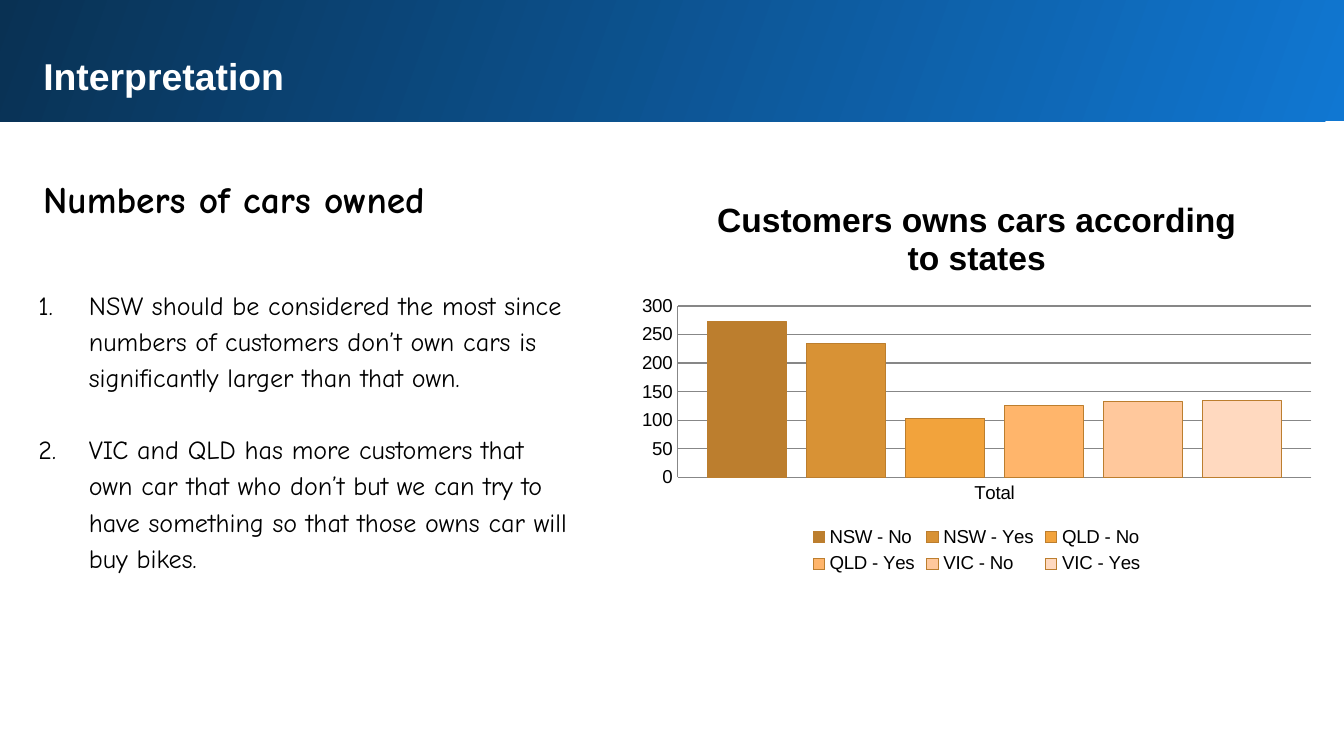
import pptx
import pptx.chart.data
import pptx.dml.color
import pptx.enum.chart
import pptx.enum.shapes
import pptx.enum.text
import pptx.oxml
import pptx.oxml.ns
import pptx.util

Pt = pptx.util.Pt
HEADING_FONT = "Arial"
BODY_FONT = "Comic Neue"
FINDINGS = [
    "NSW should be considered the most since numbers of customers don’t own cars is "
    "significantly larger than that own.",
    "VIC and QLD has more customers that own car that who don’t but we can try to have "
    "something so that those owns car will buy bikes.",
]
CAR_OWNERS = [
    ("NSW - No", 272, "BC7E2E"),
    ("NSW - Yes", 234, "D89235"),
    ("QLD - No", 103, "F2A33C"),
    ("QLD - Yes", 125, "FFB56B"),
    ("VIC - No", 132, "FFC89C"),
    ("VIC - Yes", 134, "FFD9BF"),
]


def color(hex_code):
    """Return the colour for a hex string."""
    return pptx.dml.color.RGBColor.from_string(hex_code)


def style_font(font, name, size, hex_code, bold=False):
    """Set face, size, colour and weight of a font."""
    font.name = name
    font.size = Pt(size)
    font.bold = bold
    font.color.rgb = color(hex_code)


def format_frame(frame):
    """Give a text frame even margins, wrapping and top anchoring."""
    frame.word_wrap = True
    frame.auto_size = pptx.enum.text.MSO_AUTO_SIZE.NONE
    frame.vertical_anchor = pptx.enum.text.MSO_ANCHOR.TOP
    frame.margin_left = frame.margin_right = Pt(7.2)
    frame.margin_top = frame.margin_bottom = Pt(7.2)


def add_banner(page):
    """Add the gradient band behind the title."""
    banner = page.shapes.add_shape(
        pptx.enum.shapes.MSO_SHAPE.RECTANGLE, Pt(-1.5), Pt(-1.5), Pt(723.5), Pt(66.5))
    banner.shadow.inherit = False
    banner.line.fill.background()
    banner.fill.gradient()
    banner.fill.gradient_angle = 160
    for stop, hex_code in zip(banner.fill.gradient_stops, ("1077D2", "093153")):
        stop.color.rgb = color(hex_code)
    page.shapes._spTree.insert(2, banner._element)


def set_title(page, text):
    """Place and format the slide title."""
    title = page.shapes.title
    title.left, title.top, title.width, title.height = Pt(16), Pt(21), Pt(675), Pt(60)
    frame = title.text_frame
    frame.text = text
    format_frame(frame)
    para = frame.paragraphs[0]
    para.alignment = pptx.enum.text.PP_ALIGN.LEFT
    style_font(para.runs[0].font, HEADING_FONT, 20, "FFFFFF", True)


def add_text(page, left, top, width, height, lines, size, bold=False):
    """Add a text box with one paragraph a line and return its paragraphs."""
    box = page.shapes.add_textbox(Pt(left), Pt(top), Pt(width), Pt(height))
    frame = box.text_frame
    frame.text = "\n".join(lines)
    format_frame(frame)
    for para in frame.paragraphs:
        para.line_spacing = 1.15
        style_font(para.runs[0].font, BODY_FONT, size, "000000", bold)
    return frame.paragraphs


def number_paragraphs(paras, indent, gap):
    """Number paragraphs with a hanging indent and a gap between them."""
    for index, para in enumerate(paras):
        para.space_before = Pt(gap if index else 0)
        properties = para._p.get_or_add_pPr()
        properties.set("marL", str(Pt(indent)))
        properties.set("indent", str(-Pt(indent)))
        properties.append(pptx.oxml.parse_xml(
            f'<a:buFont {pptx.oxml.ns.nsdecls("a")} typeface="{BODY_FONT}"/>'))
        properties.append(pptx.oxml.parse_xml(
            f'<a:buAutoNum {pptx.oxml.ns.nsdecls("a")} type="arabicPeriod"/>'))


def format_axis(axis):
    """Hide tick marks and set a thin grey axis line."""
    axis.major_tick_mark = pptx.enum.chart.XL_TICK_MARK.NONE
    axis.minor_tick_mark = pptx.enum.chart.XL_TICK_MARK.NONE
    axis.format.line.color.rgb = color("878787")
    axis.format.line.width = Pt(0.75)


def add_column_chart(page, title):
    """Add the clustered column chart of car owners by state."""
    data = pptx.chart.data.CategoryChartData()
    data.categories = ["Total"]
    for name, value, _ in CAR_OWNERS:
        data.add_series(name, [value])
    chart = page.shapes.add_chart(
        pptx.enum.chart.XL_CHART_TYPE.COLUMN_CLUSTERED,
        Pt(336.5), Pt(94.5), Pt(373.5), Pt(216), data).chart
    style_font(chart.font, HEADING_FONT, 10, "000000")
    chart.has_title = True
    para = chart.chart_title.text_frame.paragraphs[0]
    para.text = title
    style_font(para.runs[0].font, HEADING_FONT, 18, "000000", True)
    chart.chart_title.include_in_layout = False
    chart.has_legend = True
    chart.legend.position = pptx.enum.chart.XL_LEGEND_POSITION.BOTTOM
    chart.legend.include_in_layout = False
    format_axis(chart.category_axis)
    format_axis(chart.value_axis)
    gridlines = chart.value_axis.major_gridlines.format.line
    gridlines.color.rgb = color("878787")
    gridlines.width = Pt(0.75)
    plot = chart.plots[0]
    plot.vary_by_categories = False
    plot.gap_width = 75
    plot.overlap = -25
    for series, (_, _, hex_code) in zip(plot.series, CAR_OWNERS):
        series.format.fill.solid()
        series.format.fill.fore_color.rgb = color(hex_code)
        series.format.line.color.rgb = color("BC7E2E")
        series.format.line.width = Pt(0.5)


def main():
    """Build and save the deck."""
    deck = pptx.Presentation()
    deck.slide_width, deck.slide_height = Pt(720), Pt(405)
    page = deck.slides.add_slide(deck.slide_layouts[5])
    add_banner(page)
    set_title(page, "Interpretation")
    add_text(page, 16, 83.5, 675, 40, ["Numbers of cars owned"], 20, True)
    findings = add_text(page, 13.5, 145.5, 298, 209.5, FINDINGS, 14)
    number_paragraphs(findings, 27, 19.3)
    add_column_chart(page, "Customers owns cars according to states")
    deck.save("out.pptx")


if __name__ == "__main__":
    main()
